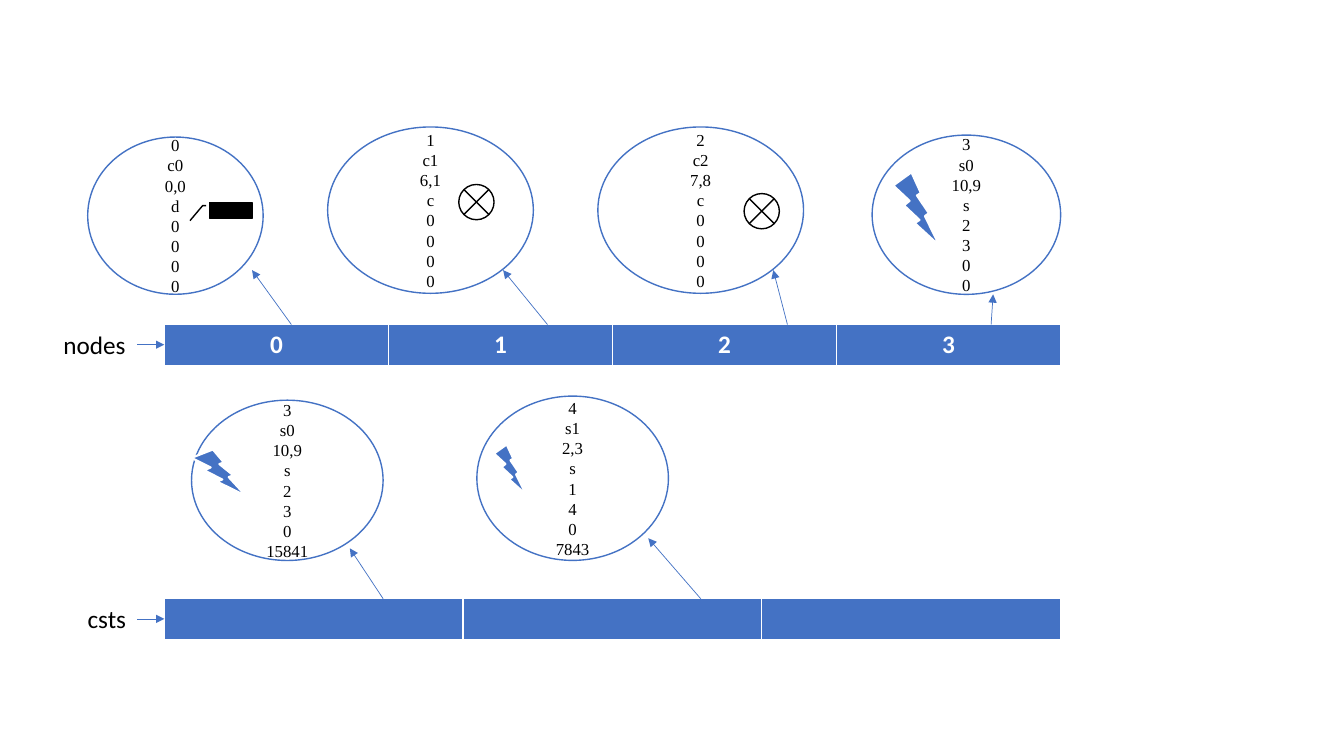
import pptx
import pptx.util
import pptx.dml.color
import pptx.enum.shapes
import pptx.enum.text
import lxml.etree

Inches = pptx.util.Inches
Pt = pptx.util.Pt
SHAPES = pptx.enum.shapes.MSO_SHAPE
ALIGN = pptx.enum.text.PP_ALIGN
MIDDLE = pptx.enum.text.MSO_ANCHOR.MIDDLE
COLORS = {"blue": "4472C4", "white": "FFFFFF", "black": "000000"}
ICONS = {
    "bolt": (SHAPES.LIGHTNING_BOLT, "blue", "white", 1.5),
    "lamp": (SHAPES.FLOWCHART_SUMMING_JUNCTION, "white", "black", 1),
    "switch": (SHAPES.LINE_CALLOUT_2, "black", "black", 1),
}
TABLE_LEFT, TABLE_WIDTH, ROW_HEIGHT = 1.63, 8.89, 0.4
LABEL_RIGHT = 1.36

NODES = {
    "label": "nodes", "label_width": 0.83, "top": 3.22, "cells": ["0", "1", "2", "3"],
    "records": [
        ((0.87, 1.36, 1.74, 1.56), "0 c0 0,0 d 0 0 0 0", "switch", (1.21, 0.65, 0.42, 0.16)),
        ((3.25, 1.26, 2.04, 1.65), "1 c1 6,1 c 0 0 0 0", "lamp", (1.3, 0.57, 0.35, 0.35)),
        ((5.93, 1.26, 2.04, 1.65), "2 c2 7,8 c 0 0 0 0", "lamp", (1.45, 0.66, 0.35, 0.35)),
        ((8.65, 1.34, 1.87, 1.58), "3 s0 10,9 s 2 3 0 0", "bolt", (0.21, 0.37, 0.46, 0.73)),
    ],
    "arrows": [(2.89, 2.5, 2.68), (5.43, 4.99, 2.68), (7.81, 7.67, 2.68), (9.83, 9.85, 2.92)],
}
CONSTRAINTS = {
    "label": "csts", "label_width": 0.59, "top": 5.94, "cells": ["", "", ""],
    "records": [
        ((1.9, 3.97, 1.9, 1.59), "3 s0 10,9 s 2 3 0 15841", "bolt", (0, 0.49, 0.54, 0.46)),
        ((4.73, 3.93, 1.9, 1.63), "4 s1 2,3 s 1 4 0 7843", "bolt", (0.17, 0.48, 0.32, 0.5)),
    ],
    "arrows": [(3.8, 3.47, 5.44), (6.95, 6.43, 5.34)],
}


def color(name):
    return pptx.dml.color.RGBColor.from_string(COLORS[name])


def add_span(para, text, size, font, ink, bold=False):
    span = para.add_run()
    span.text = text
    span.font.size = Pt(size)
    span.font.name = font
    span.font.bold = bold
    span.font.color.rgb = color(ink)


def add_figure(page, kind, box, fill, line, width):
    figure = page.shapes.add_shape(kind, *map(Inches, box))
    figure.shadow.inherit = False
    figure.fill.solid()
    figure.fill.fore_color.rgb = color(fill)
    figure.line.color.rgb = color(line)
    figure.line.width = Pt(width)
    return figure


def add_record(page, box, values, icon, offset):
    ellipse = add_figure(page, SHAPES.OVAL, box, "white", "blue", 1)
    frame = ellipse.text_frame
    frame.vertical_anchor = MIDDLE
    for index, value in enumerate(values.split()):
        para = frame.add_paragraph() if index else frame.paragraphs[0]
        para.alignment = ALIGN.CENTER
        para.line_spacing = Pt(14.4)
        add_span(para, value, 12, "Times New Roman", "black")
    left, top, width, height = offset
    icon_box = (box[0] + left, box[1] + top, width, height)
    add_figure(page, ICONS[icon][0], icon_box, *ICONS[icon][1:])


def add_arrow(page, start, end):
    arrow = page.shapes.add_connector(
        pptx.enum.shapes.MSO_CONNECTOR.STRAIGHT, *map(Inches, start + end))
    arrow.line.color.rgb = color("blue")
    arrow.line.width = Pt(0.5)
    namespace = pptx.oxml.ns.qn
    outline = arrow.line._get_or_add_ln()
    lxml.etree.SubElement(outline, namespace("a:tailEnd"), type="triangle")
    lxml.etree.SubElement(arrow._element.spPr, namespace("a:effectLst"))


def add_array(page, box, cells):
    table = page.shapes.add_table(1, len(cells), *map(Inches, box)).table
    table.horz_banding = False
    for index, text in enumerate(cells):
        table.columns[index].width = Inches(box[2] / len(cells))
        cell = table.cell(0, index)
        cell.fill.solid()
        cell.fill.fore_color.rgb = color("blue")
        cell.vertical_anchor = MIDDLE
        if text:
            para = cell.text_frame.paragraphs[0]
            para.alignment = ALIGN.CENTER
            add_span(para, text, 18, "Calibri", "white", True)


def add_label(page, box, text):
    label = page.shapes.add_textbox(*map(Inches, box))
    label.text_frame.word_wrap = False
    add_span(label.text_frame.paragraphs[0], text, 18, "Calibri", "black")


def add_group(page, group):
    top, width = group["top"], group["label_width"]
    for record in group["records"]:
        add_record(page, *record)
    add_array(page, (TABLE_LEFT, top, TABLE_WIDTH, ROW_HEIGHT), group["cells"])
    add_label(page, (LABEL_RIGHT - width, top, width, ROW_HEIGHT), group["label"])
    middle = top + ROW_HEIGHT / 2
    add_arrow(page, (LABEL_RIGHT, middle), (TABLE_LEFT, middle))
    for start, end, end_top in group["arrows"]:
        add_arrow(page, (start, top), (end, end_top))


def main():
    deck = pptx.Presentation()
    deck.slide_width = Inches(13.33)
    deck.slide_height = Inches(7.5)
    page = deck.slides.add_slide(deck.slide_layouts[6])
    for group in (NODES, CONSTRAINTS):
        add_group(page, group)
    deck.save("out.pptx")


if __name__ == "__main__":
    main()
